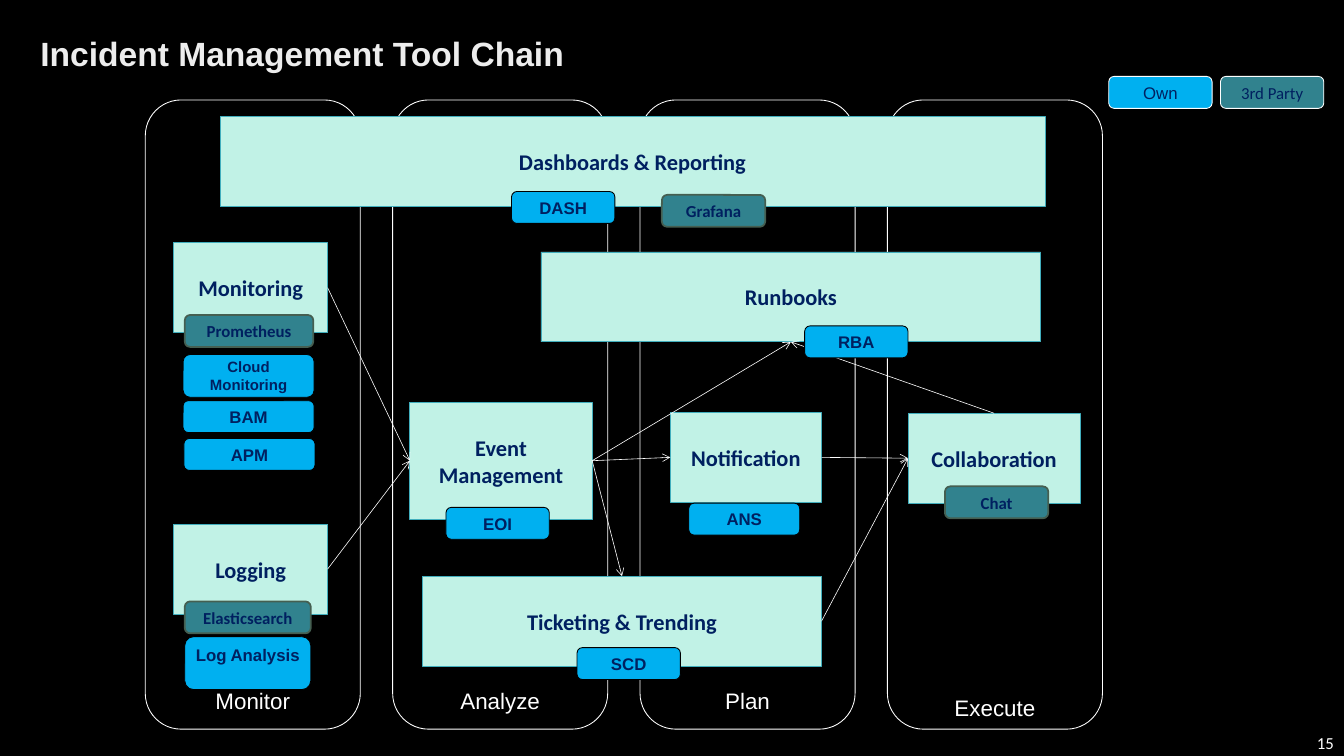
from pptx import Presentation
from pptx.dml.color import RGBColor
from pptx.enum.shapes import MSO_CONNECTOR, MSO_SHAPE
from pptx.enum.text import MSO_ANCHOR, PP_ALIGN
from pptx.oxml.ns import qn
from pptx.util import Inches, Pt
from lxml.etree import SubElement

COLS, ROWS = 16, 9
CELL = Inches(1)  # the grid has square cells

NAVY, WHITE, BLACK = "002060", "FFFFFF", "000000"
BLUE, TEAL, MINT = "00B0F0", "31828E", "C1F2E6"

TITLE = dict(size=Pt(28.8), name="Arial", bold=True)
STAGE = dict(size=Pt(19.2), name="Arial")
CARD = dict(size=Pt(19.2), name="Calibri", bold=True)
PAGE = dict(size=Pt(14.4), name="Calibri")
OWN = dict(size=Pt(14.4), name="Arial", bold=True)
THIRD = dict(size=Pt(14.4), name="Calibri", bold=True)

STAGES = [("Monitor", 8.13), ("Analyze", 8.13), ("Plan", 8.13), ("Execute", 8.21)]

CARDS = {
    "Logging": (2.07, 6.24, 1.83, 1.07),
    "Monitoring": (2.07, 2.89, 1.83, 1.07),
    "Event\nManagement": (4.88, 4.79, 2.17, 1.39),
    "Runbooks": (6.44, 3, 5.95, 1.07),
    "Notification": (7.98, 4.91, 1.8, 1.07),
    "Dashboards & Reporting": (2.62, 1.39, 9.82, 1.07),
    "Collaboration": (10.81, 4.92, 2.05, 1.07),
    "Ticketing & Trending": (5.03, 6.86, 4.75, 1.07),
}

TOP, LEFT, BOTTOM, RIGHT = range(4)  # connection sites of a rectangle
FLOWS = [
    ("Monitoring", RIGHT, "Event\nManagement", LEFT),
    ("Logging", RIGHT, "Event\nManagement", LEFT),
    ("Notification", RIGHT, "Collaboration", LEFT),
    ("Event\nManagement", RIGHT, "Runbooks", BOTTOM),
    ("Event\nManagement", RIGHT, "Notification", LEFT),
    ("Collaboration", TOP, "Runbooks", BOTTOM),
    ("Event\nManagement", RIGHT, "Ticketing & Trending", TOP),
    ("Ticketing & Trending", RIGHT, "Collaboration", LEFT),
]

OWN_TAGS = [
    ("BAM", (2.18, 4.77, 1.56, 0.38)),
    ("APM", (2.19, 5.22, 1.56, 0.38)),
    ("EOI", (5.31, 6.04, 1.23, 0.38)),
    ("DASH", (6.09, 2.28, 1.23, 0.38)),
    ("ANS", (8.2, 5.99, 1.32, 0.38)),
    ("RBA", (9.58, 3.88, 1.23, 0.38)),
    ("SCD", (6.87, 7.71, 1.23, 0.38)),
]
THIRD_TAGS = [
    ("Elasticsearch", (2.2, 7.16, 1.5, 0.38)),
    ("Chat", (11.25, 5.79, 1.23, 0.38)),
    ("Grafana", (7.88, 2.32, 1.23, 0.38)),
    ("Prometheus", (2.2, 3.75, 1.53, 0.38)),
]


def color(code):
    return RGBColor.from_string(code)


def grid(*cells):
    return [round(n * CELL) for n in cells]


def write(shape, text, style, ink, align=PP_ALIGN.CENTER,
          anchor=MSO_ANCHOR.MIDDLE, pad=(0.05, 0.05)):
    """Fill a shape with text; pad is the side and the top inset."""
    frame = shape.text_frame
    side, top = grid(*pad)
    layout = dict(text=text, word_wrap=True, vertical_anchor=anchor,
                  margin_left=side, margin_right=side,
                  margin_top=top, margin_bottom=top)
    for key, value in layout.items():
        setattr(frame, key, value)
    for par in frame.paragraphs:
        par.alignment = align
        for key, value in style.items():
            setattr(par.font, key, value)
        par.font.color.rgb = color(ink)


def label(slide, box, text, style, ink, **layout):
    shape = slide.shapes.add_textbox(*grid(*box))
    write(shape, text, style, ink, **layout)
    return shape


def block(slide, kind, box, fill, line, width=0.75):
    shape = slide.shapes.add_shape(kind, *grid(*box))
    shape.shadow.inherit = False
    if fill:
        shape.fill.solid()
        shape.fill.fore_color.rgb = color(fill)
    else:
        shape.fill.background()
    shape.line.color.rgb = color(line)
    shape.line.width = Pt(width)
    return shape


def stage(slide, index, name, top):
    left = 1.73 + index * 2.945
    block(slide, MSO_SHAPE.ROUNDED_RECTANGLE, (left, 1.19, 2.56, 7.49), None, WHITE)
    label(slide, (left, top, 2.56, 0.42), name, STAGE, WHITE)


def card(slide, name, box):
    shape = block(slide, MSO_SHAPE.RECTANGLE, box, MINT, "41AEBD")
    write(shape, name, CARD, NAVY)
    return shape


def flow(slide, start, out, end, into):
    """Join two cards with an arrow between the given sites."""
    line = slide.shapes.add_connector(MSO_CONNECTOR.STRAIGHT, 0, 0, 0, 0)
    line.begin_connect(start, out)
    line.end_connect(end, into)
    line.line.color.rgb = color(WHITE)
    line.line.width = Pt(0.5)
    props = line._element.spPr
    SubElement(props.find(qn("a:ln")), qn("a:tailEnd"), type="arrow")
    SubElement(props, qn("a:effectLst"))


def tag(slide, text, box, style, fill, line, width=0.75, **layout):
    shape = block(slide, MSO_SHAPE.ROUNDED_RECTANGLE, box, fill, line, width)
    write(shape, text, style, NAVY, **layout)


def main():
    deck = Presentation()
    deck.slide_width, deck.slide_height = grid(COLS, ROWS)
    slide = deck.slides.add_slide(deck.slide_layouts[6])
    slide.background.fill.solid()
    slide.background.fill.fore_color.rgb = color(BLACK)

    title = label(slide, (0.41, 0.3, 13.8, 0.75), "Incident Management Tool Chain",
                  TITLE, "EDEDED", align=PP_ALIGN.LEFT, pad=(0.07, 0.04))
    title.text_frame.paragraphs[0].line_spacing = 0.8

    for index, (name, top) in enumerate(STAGES):
        stage(slide, index, name, top)
    cards = {name: card(slide, name, box) for name, box in CARDS.items()}
    for start, out, end, into in FLOWS:
        flow(slide, cards[start], out, cards[end], into)

    for text, box in OWN_TAGS:
        tag(slide, text, box, OWN, BLUE, BLACK)
    tag(slide, "Cloud\vMonitoring", (2.18, 4.22, 1.56, 0.51),
        OWN | dict(size=Pt(12.8)), BLUE, BLACK)
    tag(slide, "Log Analysis", (2.2, 7.58, 1.5, 0.63), OWN, BLUE, BLACK,
        anchor=MSO_ANCHOR.TOP, pad=(0.05, 0.06))
    for text, box in THIRD_TAGS:
        tag(slide, text, box, THIRD, TEAL, "455F51", 1.5)

    plain = dict(bold=False)
    tag(slide, "Own", (13.2, 0.91, 1.23, 0.38), OWN | plain, BLUE, WHITE)
    tag(slide, "3rd Party", (14.53, 0.91, 1.23, 0.38), THIRD | plain, TEAL, WHITE)

    label(slide, (12.4, 8.6, 3.6, 0.48), "15", PAGE, WHITE,
          align=PP_ALIGN.RIGHT, pad=(0.12, 0.06))
    deck.save("out.pptx")


if __name__ == "__main__":
    main()
